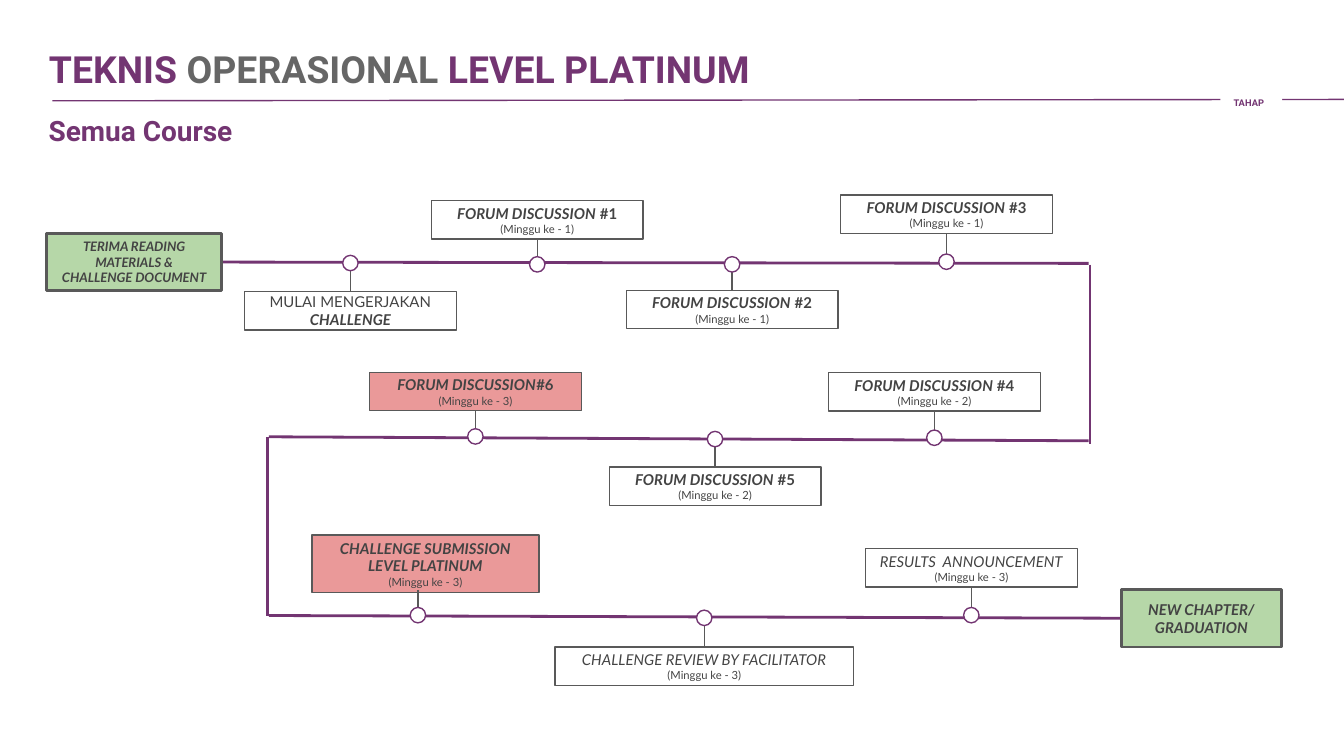
from lxml import etree
from pptx import Presentation, util as u
from pptx.dml.color import RGBColor
from pptx.enum import shapes as s, text as t

HUE = {"plum": "733572", "gray": "666666", "edge": "595959", "ink": "434343",
       "white": "FFFFFF", "green": "B6D7A8", "red": "EA9999"}
HUE = {name: RGBColor.from_string(code) for name, code in HUE.items()}

deck = Presentation()
deck.slide_width = u.Inches(10)
deck.slide_height = deck.slide_width * 9 // 16
CELL = deck.slide_width / 100  # square grid, 100 columns wide
slide = deck.slides.add_slide(deck.slide_layouts[5])
items = slide.shapes


def write(box, lines, face="Lato", side=t.PP_ALIGN.CENTER, anchor=t.MSO_ANCHOR.MIDDLE):
    """Fill box with lines; each line is a list of (words, size, colour, style)."""
    frame = box.text_frame
    frame.word_wrap, frame.auto_size = True, t.MSO_AUTO_SIZE.NONE
    frame.vertical_anchor = anchor
    frame.margin_left = frame.margin_right = u.Inches(0.1)
    frame.margin_top = frame.margin_bottom = u.Inches(0.1)
    for n, line in enumerate(lines):
        para = frame.add_paragraph() if n else frame.paragraphs[0]
        para.alignment = side
        for words, size, hue, style in line:
            run = para.add_run()
            run.text = words
            run.font.name, run.font.size = face, u.Pt(size)
            run.font.color.rgb = HUE[hue]
            run.font.bold, run.font.italic = "b" in style, "i" in style


def draw(kind, cells, hue, width, fill=None):
    """Add a line (kind None, cells x1 y1 x2 y2) or a shape (left top width height)."""
    spot = [round(c * CELL) for c in cells]
    if kind is None:
        item = items.add_connector(s.MSO_CONNECTOR.STRAIGHT, *spot)
        ns = "{http://schemas.openxmlformats.org/drawingml/2006/main}"
        etree.SubElement(item._element.spPr, ns + "effectLst")
    else:
        item = items.add_shape(kind, *spot)
        item.shadow.inherit = False
        if fill:
            item.fill.solid()
            item.fill.fore_color.rgb = HUE[fill]
        else:
            item.fill.background()
    if width:
        item.line.color.rgb, item.line.width = HUE[hue], u.Pt(width)
    else:
        item.line.fill.background()
    return item


RECT, OVAL = s.MSO_SHAPE.RECTANGLE, s.MSO_SHAPE.OVAL
LEFT, TOP = t.PP_ALIGN.LEFT, t.MSO_ANCHOR.TOP

# Heading
draw(None, (3.9, 7.5, 100, 7.4), "plum", 0.75)
tag = draw(RECT, (90.8, 6.2, 4.6, 2.9), "white", 0, "white")
write(tag, [[("TAHAP", 5, "plum", "b")]], "Roboto", LEFT, TOP)
title = items.title
title.left, title.top, title.width, title.height = [
    round(c * CELL) for c in (2.64, 2.4, 57.4, 4.3)]
write(title, [[("TEKNIS ", 20, "plum", "b"), ("OPERASIONAL ", 20, "gray", "b"),
               ("LEVEL PLATINUM", 20, "plum", "b")]], "Roboto", LEFT, TOP)
sub = items.add_textbox(*[round(c * CELL) for c in (2.64, 7.44, 68, 4.3)])
write(sub, [[("Semua Course", 15, "plum", "b")]], "Roboto", LEFT, TOP)

# Winding path, from the first box to the last
path = [draw(None, ends, "plum", 1.5) for ends in (
    (16.5, 19.5, 81, 19.6), (81.1, 19.7, 81.1, 33), (20, 32.5, 81, 32.8),
    (19.9, 32.5, 19.9, 45.8), (20, 45.8, 83.5, 46))]
start = draw(RECT, (3.45, 17.35, 13.05, 4.3), "edge", 1.5, "green")
write(start, [[("TERIMA READING MATERIALS & CHALLENGE DOCUMENT", 7, "ink", "bi")]])
goal = draw(RECT, (83.45, 43.85, 11.9, 4.3), "edge", 1.5, "green")
write(goal, [[(words, 8, "ink", "bi")] for words in ("NEW CHAPTER/", "GRADUATION")])
path[0].begin_connect(start, 3)
path[-1].end_connect(goal, 1)

# Steps: left, top, width, height, dot top, fill, heading runs, week
DOT, WIDE, HIGH = 1.15, 15.75, 2.87
forums = [(32.1, 14.93, 19.1, None, " #1", 1), (46.6, 21.6, 19.1, None, " #2", 1),
          (62.55, 14.5, 18.9, None, " #3", 1), (61.65, 27.73, 32, None, " #4", 2),
          (45.33, 34.75, 32.1, None, " #5", 2), (27.5, 27.7, 31.9, "red", "#6", 3)]
steps = [(x, y, WIDE, HIGH, dot, fill,
          [("FORUM DISCUSSION", "bi"), (mark, "b")], week)
         for x, y, dot, fill, mark, week in forums]
steps += [
    (18.2, 21.7, WIDE, HIGH, 19, None,
     [("MULAI MENGERJAKAN ", ""), ("CHALLENGE", "bi")], None),
    (23.2, 39.8, 16.9, 4.3, 45.2, "red",
     [("CHALLENGE SUBMISSION LEVEL PLATINUM", "bi")], 3),
    (41.3, 48.13, 22.2, HIGH, 45.4, None,
     [("CHALLENGE REVIEW BY FACILITATOR", "i")], 3),
    (64.4, 40.82, WIDE, HIGH, 45.2, None, [("RESULTS  ANNOUNCEMENT", "i")], 3)]

for x, y, wide, high, dot, fill, head, week in steps:
    box = draw(RECT, (x, y, wide, high), "edge", 0.75, fill)
    lines = [[(words, 8, "ink", look) for words, look in head]]
    if week:
        lines.append([(f"(Minggu ke - {week})", 6, "ink", "")])
    write(box, lines)
    tall = high > HIGH
    mid = 31.1 if tall else x + wide / 2
    above = y < dot
    edge = y + high if above else y
    stem = draw(None, (mid, edge - 0.2 if tall else edge,
                       mid, dot if above else dot + DOT), "edge", 0.75)
    if not tall:
        stem.begin_connect(box, 2 if above else 0)
    draw(OVAL, (mid - DOT / 2, dot, DOT, DOT), "plum", 0.75, "white")

deck.save("out.pptx")
